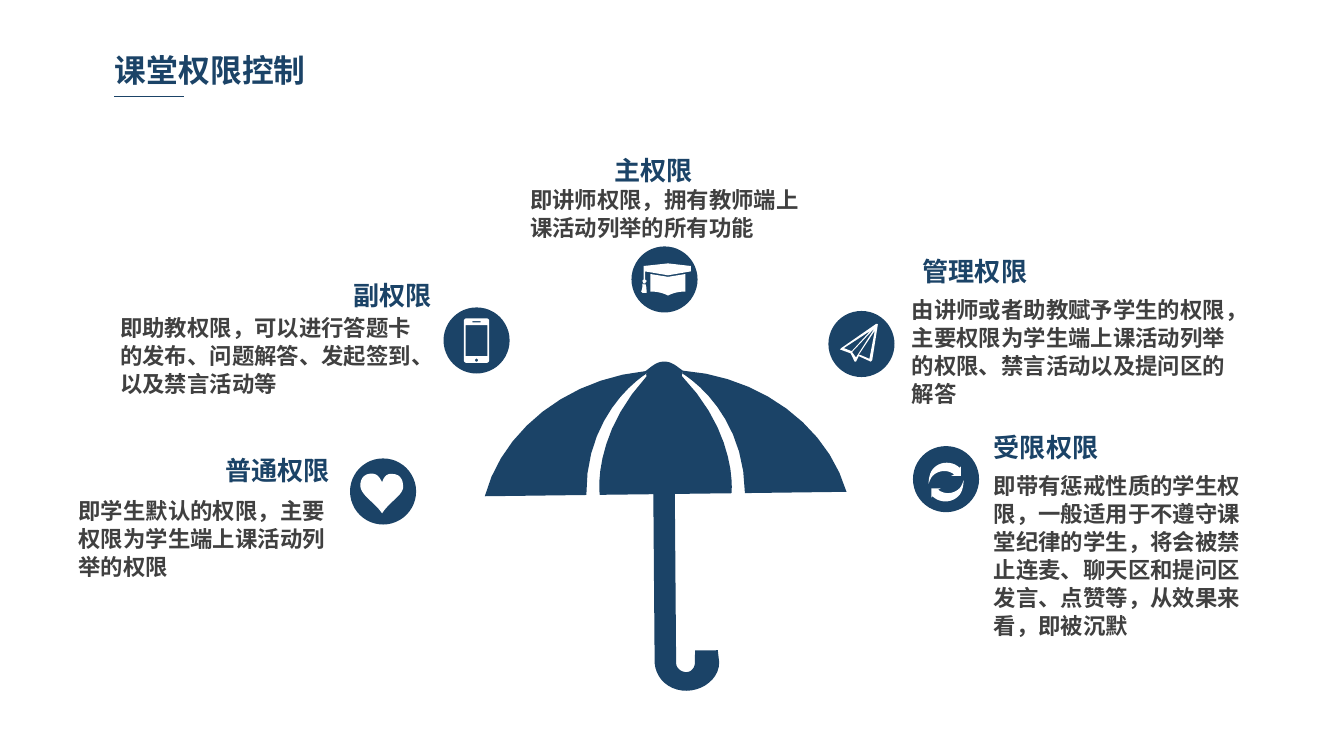
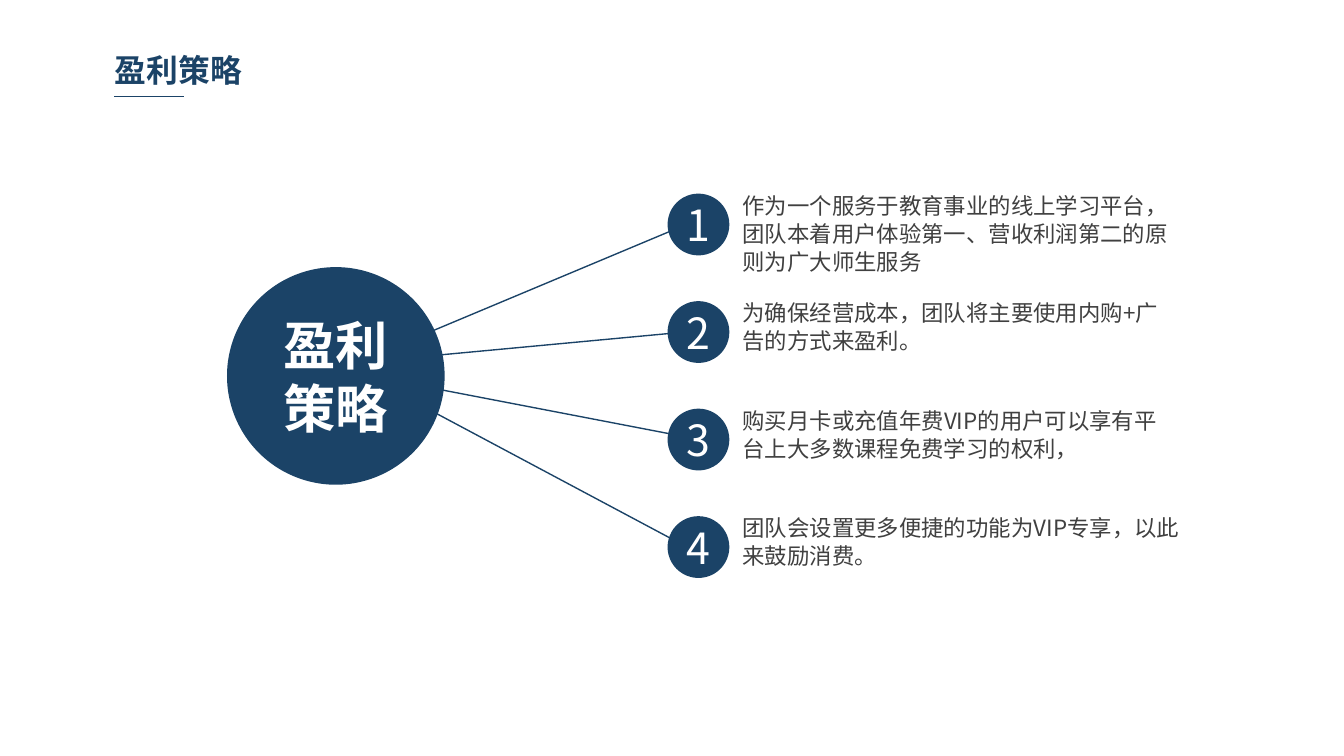
from lxml import etree
from pptx import Presentation
from pptx.dml.color import RGBColor
from pptx.enum.shapes import MSO_CONNECTOR, MSO_SHAPE
from pptx.enum.text import MSO_ANCHOR, MSO_AUTO_SIZE, PP_ALIGN
from pptx.oxml.ns import qn
from pptx.util import Pt

# Shared look
NAVY = RGBColor(0x1B, 0x43, 0x67)
GREY = RGBColor(0x40, 0x40, 0x40)
WHITE = RGBColor(0xFF, 0xFF, 0xFF)
FONT = "Noto Sans CJK SC"
BADGE = 35.4
CURVE_STEPS = 10

# Outlines in points: M = move, L = line, C = cubic curve
UMBRELLA = """
M -96.9,71 C -87,35.5 -51.5,8.6 -10,5 L -9.4,6.3
C -15.3,9.9 -42.5,29.7 -42.5,71
M 96.9,71 C 87,35.5 51.5,8.6 10,5 L 9.4,6.3
C 15.3,9.9 42.5,29.7 42.5,71
M -35.3,71 C -35.3,71 -39.4,39.8 -9.4,7.8 L -10,5
C -7.1,3 -4.3,0 0,0 C 4.3,0 7.1,3 10,5 L 9.4,7.8
C 39.4,39.8 35.3,71 35.3,71 L 4.9,71 L 4.5,161.5
C 4.5,164.4 7.2,166.5 10.1,166.5 C 12.8,166.5 14.6,163.7 14.6,161.5
L 14.7,155 L 26.9,155 L 27.6,161.5 C 27.4,170.3 18.7,176.5 10.1,176.5
C 0.7,176.5 -6.4,170 -7,161.5 L -6.6,71"""

HEART = """
M -0.5,-4.9 C -2.2,-8.4 -3.6,-9.6 -6.5,-9.6 C -10.8,-9.2 -12.2,-6.3 -12.2,-2.8
C -11.5,2.4 -5,5.3 -0.5,11.7 C 3.6,5.3 10.1,2.4 10.8,-2
C 10.8,-6.3 9.4,-9.2 5,-9.4 C 2.2,-9.6 0.7,-8.4 -0.5,-4.9"""

SYNC_ARROW = """
M 7.3,-6.1 C 3.7,-9.7 -2.8,-9.7 -6.4,-6.1 C -8.6,-4 -9.3,-0.4 -9.3,2.5
C -8.6,0.4 -7.8,-1.1 -7.1,-1.8 C -4.2,-4.7 0.8,-5.4 4.4,-2.5
L 2.9,-1.8 L 8,-1.8 L 8,-6.8"""

GRADUATION_CAP = """
M 14.1,-7.2 L 1.9,-8.6 L -11.1,-7.2 L -11.1,0 L -11.8,0.7
C -11.8,1.4 -11.1,2.2 -11.1,2.2 C -10.4,2.2 -9.6,1.4 -9.6,0.7
L -10.4,0 L -10.4,-4.3 L 1.9,-2.2 L 14.1,-4.3
M -10.4,2.2 C -10.4,2.9 -11.1,2.9 -11.8,2.2 C -11.8,3.6 -11.8,5 -12.5,6.5
L -11.8,7.2 L -9.6,7.2 C -9.6,5 -9.6,3.6 -10.4,2.2
M -7.5,6.5 L -7.5,-2.9 L 1.9,-1.4 L 11.2,-2.9 L 11.2,6.5
C 7.6,6.5 4.8,7.2 1.9,8.6 C -1,7.2 -3.9,6.5 -7.5,6.5"""

PHONE = """
M 5.4,-11.8 L -5.4,-11.8 C -6.2,-11.8 -6.8,-11.1 -6.8,-10.4 L -6.8,10.6
C -6.8,11.4 -6.2,12 -5.4,12 L 5.4,12 C 6.2,12 6.8,11.4 6.8,10.6
L 6.8,-10.4 C 6.8,-11.1 6.2,-11.8 5.4,-11.8
M -2.2,-10.3 L 2.2,-10.3 L 2.2,-9.6 L -2.2,-9.6
M 0,11.4 C -1.1,11.4 -1.1,9.8 0,9.8 C 1.1,9.8 1.1,11.4 0,11.4
M 5.8,8.4 L -5.8,8.4 L -5.8,-8.1 L 5.8,-8.1"""

PAPER_PLANE = """
M 8.6,-10.8 L 7.9,-10.8 L -10.8,2.2 L -11.5,2.9 L -5.8,5 L -3.6,9.4
L -2.9,9.4 L -1.4,6.5 L 5,9.4 L 5.8,8.6 L 8.8,-10.4
M -9.4,2.2 L 5,-7.2 L -5,3.6 L -5.8,3.6
M -5,4.3 L 7.2,-8.6 L -2.9,7.2
M 4.3,7.9 L -0.7,5.8 L -1.4,5.8 L 7.2,-7.2"""

# Badge centre and icon
BADGES = [
    (205.2, 263.3, HEART),
    (506.8, 256.7, SYNC_ARROW),
    (356, 149.7, GRADUATION_CAP),
    (255.3, 182.4, PHONE),
    (461.5, 184.3, PAPER_PLANE),
]

# Heading, its box and alignment; description and its box
PERMISSIONS = [
    ("副权限", (183.6, 146.9, 53.3, 22.3), PP_ALIGN.RIGHT,
     "即助教权限，可以进行答题卡的发布、问题解答、发起签到、以及禁言活动等",
     (59, 164.9, 178.6, 49.7)),
    ("普通权限", (114.5, 240.5, 67.7, 22.3), PP_ALIGN.RIGHT,
     "即学生默认的权限，主要权限为学生端上课活动列举的权限",
     (36.7, 262.8, 144.7, 49.7)),
    ("主权限", (323.3, 79.9, 53.3, 22.3), PP_ALIGN.RIGHT,
     "即讲师权限，拥有教师端上课活动列举的所有功能",
     (278.6, 96.5, 157.7, 33.8)),
    ("管理权限", (488.9, 133.9, 67.7, 22.3), PP_ALIGN.LEFT,
     "由讲师或者助教赋予学生的权限，主要权限为学生端上课活动列举的权限、禁言活动以及提问区的解答",
     (483.1, 155.5, 184.3, 64.1)),
    ("受限权限", (527, 228.2, 67.7, 22.3), PP_ALIGN.LEFT,
     "即带有惩戒性质的学生权限，一般适用于不遵守课堂纪律的学生，将会被禁止连麦、聊天区和提问区发言、点赞等，从效果来看，即被沉默",
     (527, 249.8, 144.7, 94.3)),
]

# Strategy text, its height, and where its spoke starts and ends across
STRATEGIES = [
    ("作为一个服务于教育事业的线上学习平台，团队本着用户体验第一、营收利润第二的原则为广大师生服务",
     49.7, (190.8, 194.4), 367.9),
    ("为确保经营成本，团队将主要使用内购+广告的方式来盈利。",
     34.6, (190.1, 194.4), 367.9),
    ("购买月卡或充值年费VIP的用户可以享有平台上大多数课程免费学习的权利，",
     34.6, (195.1, 200.9), 374.4),
    ("团队会设置更多便捷的功能为VIP专享，以此来鼓励消费。",
     34.6, (195.1, 200.9), 367.9),
]
STRATEGY_PITCH = 57.6


def write_paragraphs(frame, lines, size, color, bold=False,
                     align=PP_ALIGN.LEFT, spacing=None):
    for number, line in enumerate(lines):
        paragraph = frame.add_paragraph() if number else frame.paragraphs[0]
        paragraph.text = line
        paragraph.alignment = align
        if spacing:
            paragraph.line_spacing = Pt(spacing)
        font = paragraph.font
        font.name, font.size, font.bold = FONT, Pt(size), bold
        font.color.rgb = color
        defaults = paragraph._p.pPr.find(qn("a:defRPr"))
        etree.SubElement(defaults, qn("a:ea"), typeface=FONT)


def add_text(slide, text, box, size, color, wrap=True, **style):
    frame = slide.shapes.add_textbox(*map(Pt, box)).text_frame
    frame.word_wrap = wrap
    frame.auto_size = MSO_AUTO_SIZE.SHAPE_TO_FIT_TEXT
    frame.margin_left = frame.margin_right = Pt(5.4)
    frame.margin_top = frame.margin_bottom = Pt(2.7)
    write_paragraphs(frame, [text], size, color, **style)


def paint(shape, color):
    shape.shadow.inherit = False
    shape.fill.solid()
    shape.fill.fore_color.rgb = color
    shape.line.fill.background()


def add_disc(slide, center_x, center_y, diameter, lines=(), size=0, bold=False):
    disc = slide.shapes.add_shape(
        MSO_SHAPE.OVAL, Pt(center_x - diameter / 2), Pt(center_y - diameter / 2),
        Pt(diameter), Pt(diameter))
    paint(disc, NAVY)
    if lines:
        frame = disc.text_frame
        frame.margin_left = frame.margin_right = 0
        frame.margin_top = frame.margin_bottom = 0
        frame.vertical_anchor = MSO_ANCHOR.MIDDLE
        write_paragraphs(frame, lines, size, WHITE, bold, PP_ALIGN.CENTER)


def add_line(slide, start, end):
    line = slide.shapes.add_connector(
        MSO_CONNECTOR.STRAIGHT, *map(Pt, (*start, *end)))
    line.line.color.rgb = NAVY
    line.line.width = Pt(0.75)
    etree.SubElement(line._element.spPr, qn("a:effectLst"))


def curve_points(p0, p1, p2, p3):
    for step in range(1, CURVE_STEPS + 1):
        t = step / CURVE_STEPS
        u = 1 - t
        yield tuple(u**3 * a + 3 * u * u * t * b + 3 * u * t * t * c + t**3 * d
                    for a, b, c, d in zip(p0, p1, p2, p3))


def contours(outline):
    """Turn an outline into lists of points, one list per closed contour."""
    tokens = iter(outline.split())

    def next_point():
        return tuple(float(value) for value in next(tokens).split(","))

    result = []
    for command in tokens:
        if command == "M":
            result.append([next_point()])
        elif command == "L":
            result[-1].append(next_point())
        else:
            controls = [next_point() for _ in range(3)]
            result[-1].extend(curve_points(result[-1][-1], *controls))
    return result


def add_outline(slide, outline, x, y, color, rotation=0):
    builder = None
    for contour in contours(outline):
        start, *rest = [(Pt(x + dx), Pt(y + dy)) for dx, dy in contour]
        if builder is None:
            builder = slide.shapes.build_freeform(*start, scale=1.0)
        else:
            builder.move_to(*start)
        builder.add_line_segments(rest, close=True)
    shape = builder.convert_to_shape()
    paint(shape, color)
    shape.rotation = rotation


def add_titled_slide(prs, title, title_width):
    slide = prs.slides.add_slide(prs.slide_layouts[6])
    add_text(slide, title, (56.2, 24.5, title_width, 25.9), 17, NAVY, bold=True)
    add_line(slide, (61.2, 51.8), (98.6, 51.8))
    return slide


def build_permissions(prs):
    slide = add_titled_slide(prs, "课堂权限控制", 228.2)
    add_outline(slide, UMBRELLA, 356.8, 193.7, NAVY, rotation=359.3)
    for x, y, icon in BADGES:
        add_disc(slide, x, y, BADGE)
        add_outline(slide, icon, x, y, WHITE)
        if icon is SYNC_ARROW:
            add_outline(slide, icon, x + 1.4, y + 9.4, WHITE, rotation=180)
    for heading, heading_box, align, description, description_box in PERMISSIONS:
        add_text(slide, heading, heading_box, 14, NAVY, wrap=False,
                 bold=True, align=align)
        add_text(slide, description, description_box, 12, GREY,
                 bold=True, spacing=15)


def build_strategies(prs):
    slide = add_titled_slide(prs, "盈利策略", 177.8)
    # Spokes lie behind the discs
    for row, (_, _, start, end_x) in enumerate(STRATEGIES):
        add_line(slide, start, (end_x, 120.2 + row * STRATEGY_PITCH))
    for row, (text, height, _, _) in enumerate(STRATEGIES):
        offset = row * STRATEGY_PITCH
        add_disc(slide, 374.2, 120.3 + offset, 33.1, [str(row + 1)], 23)
        add_text(slide, text, (392.4, 99.4 + offset, 244.8, height), 12, GREY,
                 spacing=15)
    add_disc(slide, 179.9, 201.4, 116.6, ["盈利", "策略"], 28, bold=True)


def main():
    prs = Presentation()
    prs.slide_width, prs.slide_height = Pt(720), Pt(405)
    build_permissions(prs)
    build_strategies(prs)
    prs.save("out.pptx")


if __name__ == "__main__":
    main()
